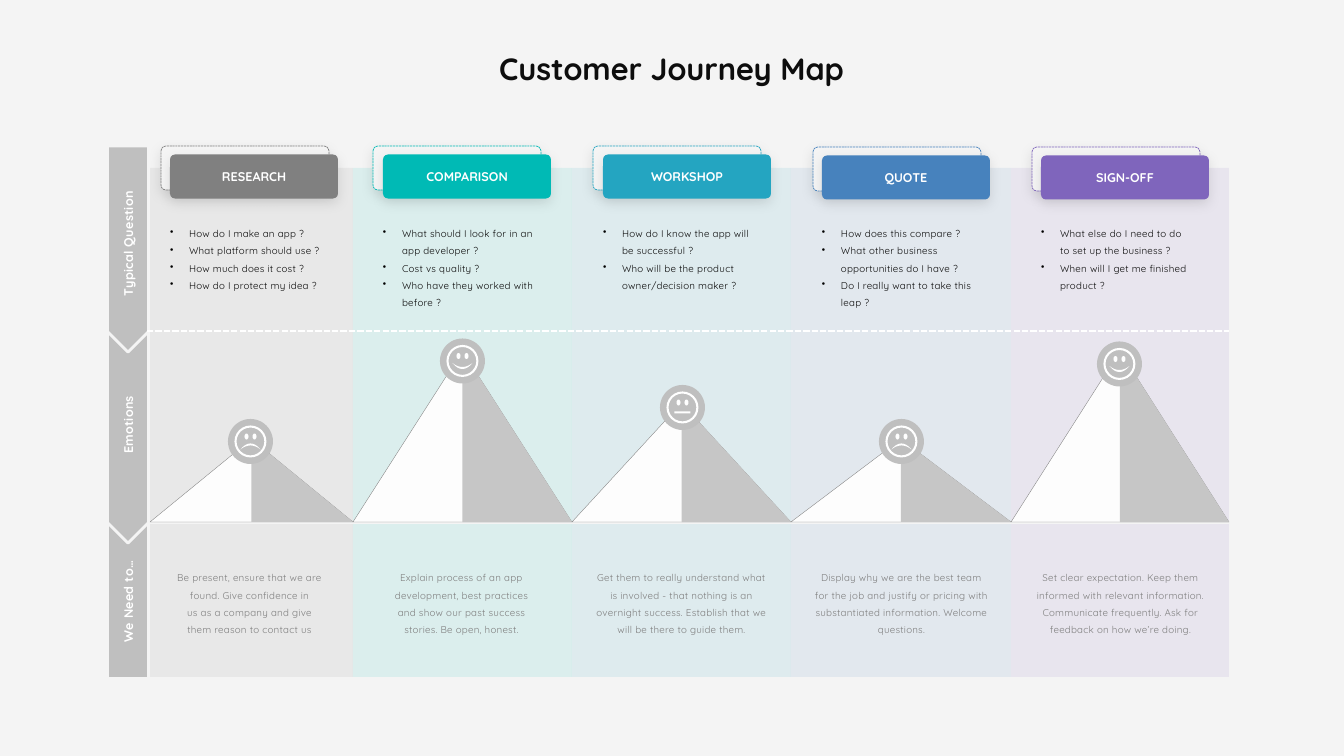
from lxml import etree
from pptx import Presentation
from pptx.dml.color import RGBColor
from pptx.enum.dml import MSO_LINE
from pptx.enum.shapes import MSO_CONNECTOR, MSO_SHAPE
from pptx.enum.text import MSO_ANCHOR, PP_ALIGN
from pptx.oxml.ns import qn
from pptx.util import Pt

LEFT, CENTER = PP_ALIGN.LEFT, PP_ALIGN.CENTER
TOP, MIDDLE = MSO_ANCHOR.TOP, MSO_ANCHOR.MIDDLE
DASH = MSO_LINE.SQUARE_DOT
RECT, CARD, ARROW = MSO_SHAPE.RECTANGLE, MSO_SHAPE.ROUNDED_RECTANGLE, MSO_SHAPE.PENTAGON
OVAL, RING = MSO_SHAPE.OVAL, MSO_SHAPE.DONUT
PEAK, SHADE = MSO_SHAPE.ISOSCELES_TRIANGLE, MSO_SHAPE.RIGHT_TRIANGLE
PX = 914400 / 100.8

THEME = {
    "font": "Quicksand", "title_size": 22, "label_size": 9, "body_size": 7, "leading": 12.4,
    "page": "F4F4F4", "white": "FFFFFF", "ink": "0D0D0D", "muted": "808080",
    "grey": "BFBFBF", "snow": "FDFDFD", "shade": "C6C6C6",
}

# name, colour, panel left, dashed card (left, top), gap to solid card, question width,
# peak top, face centre, mood, questions, needs
STAGES = [
    ("RESEARCH", "808080", 147, (161, 146), 9, 178, 439, (250.5, 441.5), "sad",
     ["How do I make an app ?", "What platform should use ?",
      "How much does it cost ?", "How do I protect my idea ?"],
     ["Be present, ensure that we are found. Give confidence in",
      "us as a company and give", "them reason to contact us"]),
    ("COMPARISON", "00BAB5", 353, (373, 146), 10, 153, 351, (462.5, 361), "happy",
     ["What should I look for in an app developer ?", "Cost vs quality ?",
      "Who have they worked with before ?"],
     ["Explain process of an app development, best practices",
      "and show our past success", "stories. Be open, honest."]),
    ("WORKSHOP", "24A5C1", 572, (593, 146), 10, 154, 403, (682.5, 407.5), "neutral",
     ["How do I know the app will be successful ?",
      "Who will be the product owner/decision maker ?"],
     ["Get them to really understand what is involved - that nothing is an overnight "
      "success. Establish that we will be there to guide them."]),
    ("QUOTE", "4782BD", 791, (813, 147), 9, 153, 439, (901.5, 441.5), "sad",
     ["How does this compare ?", "What other business opportunities do I have ?",
      "Do I really want to take this leap ?"],
     ["Display why we are the best team for the job and justify or pricing with "
      "substantiated information. Welcome questions."]),
    ("SIGN-OFF", "7F65BC", 1011, (1032, 147), 9, 153, 351, (1119.5, 364), "happy",
     ["What else do I need to do to set up the business ?",
      "When will I get me finished product ?"],
     ["Set clear expectation. Keep them informed with relevant information. "
      "Communicate frequently. Ask for feedback on how we’re doing."]),
]
PANEL_RIGHTS = [stage[2] for stage in STAGES[1:]] + [1229]

deck = Presentation()
deck.slide_width, deck.slide_height = round(1344 * PX), round(756 * PX)
page = deck.slides.add_slide(deck.slide_layouts[6])
page.background.fill.solid()
page.background.fill.fore_color.rgb = RGBColor.from_string(THEME["page"])


def draw(kind, left, top, width, height, fill, line=None, weight=0.5):
    """Add a filled preset shape, or a text box when kind is None."""
    place = [round(length * PX) for length in (left, top, width, height)]
    if kind is None:
        return page.shapes.add_textbox(*place)
    shape = page.shapes.add_shape(kind, *place)
    shape.shadow.inherit = False
    shape.fill.solid()
    shape.fill.fore_color.rgb = RGBColor.from_string(fill)
    if line:
        shape.line.color.rgb = RGBColor.from_string(line)
        shape.line.width = Pt(weight)
    else:
        shape.line.fill.background()
    return shape


def write(box, lines, size, color, bold=False, align=CENTER, anchor=MIDDLE,
          inset=0, leading=None, spacing=0, bullets=False):
    frame = box.text_frame
    frame.word_wrap = True
    frame.vertical_anchor = anchor
    frame.margin_left = frame.margin_right = frame.margin_top = frame.margin_bottom = round(inset * PX)
    for index, line in enumerate(lines):
        para = frame.paragraphs[0] if index == 0 else frame.add_paragraph()
        para.text = line
        para.alignment = align
        if leading:
            para.line_spacing = Pt(leading)
        font = para.font
        font.name, font.size, font.bold = THEME["font"], Pt(size), bold
        font.color.rgb = RGBColor.from_string(color)
        props = para._p.get_or_add_pPr()
        defaults = props.find(qn("a:defRPr"))
        defaults.set("spc", str(spacing))
        if bullets:
            props.set("marL", str(round(19 * PX)))
            props.set("indent", str(round(-19 * PX)))
            tint = etree.Element(qn("a:buClr"))
            etree.SubElement(tint, qn("a:srgbClr"), val="000000")
            defaults.addprevious(tint)
            defaults.addprevious(etree.Element(qn("a:buChar"), char="•"))


# Tinted stage panels
for (name, color, left, *rest), right in zip(STAGES, PANEL_RIGHTS):
    panel = draw(RECT, left, 168, right - left, 509, color)
    tint = panel._element.spPr.find(qn("a:solidFill"))[0]
    etree.SubElement(tint, qn("a:alpha"), val="10000")

# Title
write(draw(None, 429, 39, 485, 58, None), ["Customer Journey Map"],
      THEME["title_size"], THEME["ink"], bold=True)

# Row arrows, stacked from the bottom up
for label, top, length, point, end_inset in [
        ("We Need to…", 505, 173, 0, 20), ("Emotions", 317, 226, 0.5, 0),
        ("Typical Question", 146, 206, 0.5, 0)]:
    arrow = draw(ARROW, 128 - length / 2, top + length / 2 - 20.5, length, 41,
                 THEME["grey"], THEME["page"], 2)
    arrow.adjustments[0] = point
    arrow.rotation = 90
    arrow._element.spPr.find(qn("a:xfrm")).set("flipV", "1")
    write(arrow, [label], THEME["label_size"], THEME["white"], bold=True, spacing=20)
    arrow.text_frame.margin_right = round(end_inset * PX)

# Stage cards, questions and needs
for name, color, _, (left, top), gap, width, _, _, _, questions, needs in STAGES:
    back = draw(CARD, left, top, 168, 44, THEME["page"], color)
    back.line.dash_style = DASH
    front = draw(CARD, left + gap, top + 8.5, 168, 44, color)
    for card in (back, front):
        card.adjustments[0] = 0.115
        effects = card._element.spPr.find(qn("a:effectLst"))
        shadow = etree.SubElement(effects, qn("a:outerShdw"), blurRad=str(Pt(9)),
                                  dist=str(Pt(3)), dir="5400000", algn="t", rotWithShape="0")
        tint = etree.SubElement(shadow, qn("a:srgbClr"), val="000000")
        etree.SubElement(tint, qn("a:alpha"), val="9000")
    write(front, [name], THEME["label_size"], THEME["white"], bold=True, inset=3)
    write(draw(None, left + gap, 222, width, 66, None), questions, THEME["body_size"],
          THEME["ink"], align=LEFT, anchor=TOP, leading=THEME["leading"], spacing=20, bullets=True)
    write(draw(None, left, 568, 177, 66, None), needs, THEME["body_size"],
          THEME["muted"], leading=THEME["leading"], spacing=20)

# Row dividers
for start, end, y, color, weight, dash in [
        (147, 1229, 331, THEME["white"], 1.5, DASH), (150, 1231, 523, THEME["page"], 1.75, None)]:
    divider = page.shapes.add_connector(
        MSO_CONNECTOR.STRAIGHT, *[round(length * PX) for length in (start, y, end, y)])
    divider.line.color.rgb = RGBColor.from_string(color)
    divider.line.width = Pt(weight)
    divider.line.dash_style = dash
    etree.SubElement(divider._element.spPr, qn("a:effectLst"))

# Emotion mountains
for stage, right in zip(STAGES, PANEL_RIGHTS):
    left, peak = max(stage[2], 150), stage[6]
    half = (right - left) / 2
    draw(PEAK, left, peak, 2 * half, 522 - peak, THEME["snow"], THEME["muted"], 0.25)
    draw(SHADE, left + half, peak, half, 522 - peak, THEME["shade"])

# Faces on the peaks
for stage in STAGES:
    (x, y), mood = stage[7:9]
    draw(OVAL, x - 22.5, y - 22.5, 45, 45, THEME["grey"])
    ring = draw(RING, x - 16, y - 16, 32, 32, THEME["white"])
    ring.adjustments[0] = 0.065
    for eye in (-4, 4):
        draw(OVAL, x + eye - 2, y - 8, 4, 6, THEME["white"])
    if mood == "neutral":
        draw(RECT, x - 8, y + 4, 16, 2, THEME["white"])
        continue
    corner, bend = (2, 1) if mood == "happy" else (8, -1)
    steps = range(-10, 11)
    outer = [(x + step, y + corner + bend * 6 * (1 - step ** 2 / 100)) for step in steps]
    inner = [(x + step, y + corner + bend * 4 * (1 - step ** 2 / 100)) for step in reversed(steps)]
    points = [(round(px * PX), round(py * PX)) for px, py in outer + inner]
    builder = page.shapes.build_freeform(*points[0])
    builder.add_line_segments(points[1:], close=True)
    mouth = builder.convert_to_shape()
    mouth.shadow.inherit = False
    mouth.fill.solid()
    mouth.fill.fore_color.rgb = RGBColor.from_string(THEME["white"])
    mouth.line.fill.background()

deck.save("out.pptx")
